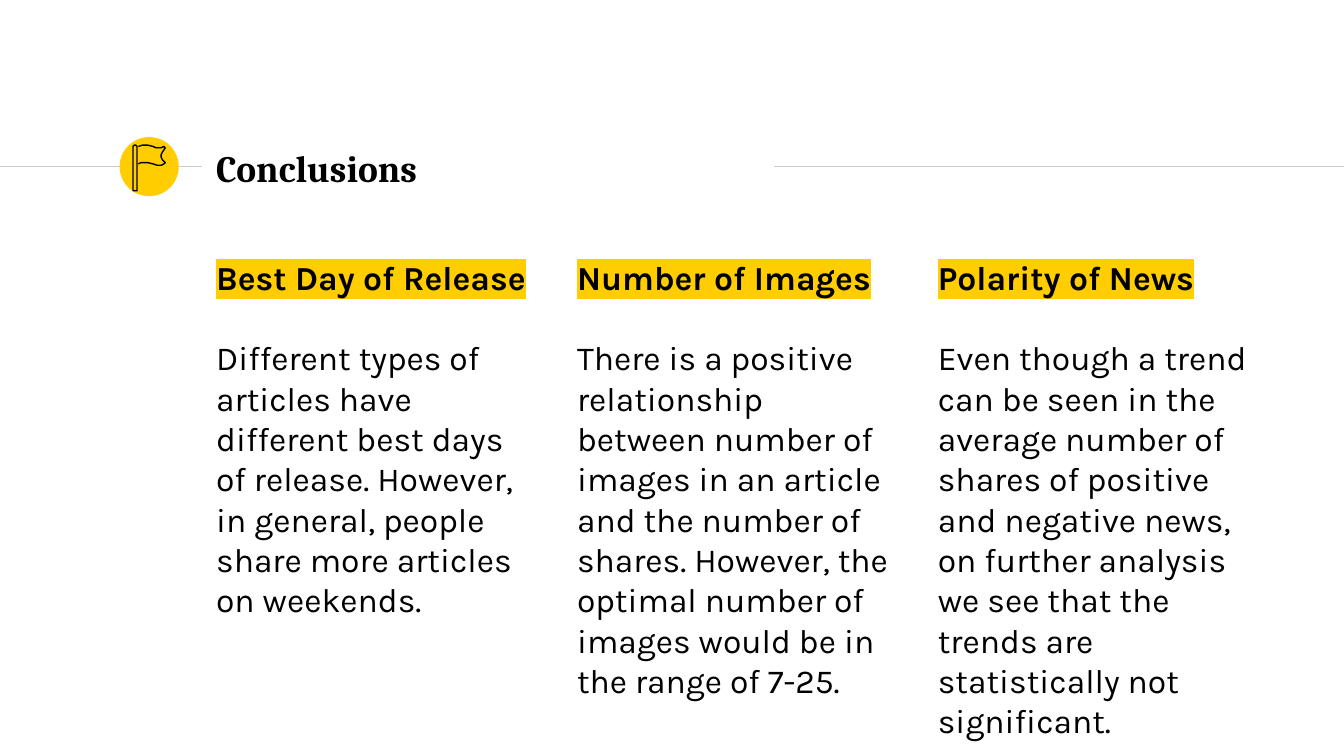
"""Build a conclusions slide with a flag badge and three columns of findings."""
from dataclasses import dataclass

from lxml import etree
from pptx import Presentation
from pptx import util as u
from pptx.dml.color import RGBColor
from pptx.enum import shapes, text
from pptx.oxml import ns


@dataclass(frozen=True)
class Theme:
    ink: RGBColor = RGBColor(0, 0, 0)
    gold: RGBColor = RGBColor(0xFF, 0xCD, 0)
    rule: RGBColor = RGBColor(0xCC, 0xCC, 0xCC)
    serif: str = "Cambria"
    sans: str = "Karla"
    title: u.Pt = u.Pt(20)
    body: u.Pt = u.Pt(18)
    line: u.Pt = u.Pt(0.75)


def add_box(left, top, width, height):
    frame = slide.shapes.add_textbox(
        u.Inches(left), u.Inches(top), u.Inches(width), u.Inches(height)
    ).text_frame
    frame.word_wrap = True
    frame.margin_left = frame.margin_right = u.Inches(0.1)
    frame.margin_top = frame.margin_bottom = u.Inches(0.1)
    return frame


def style(para, face, size, bold):
    font = para.font
    font.name, font.size, font.bold = face, size, bold
    font.color.rgb = theme.ink


theme = Theme()
deck = Presentation()
deck.slide_width, deck.slide_height = u.Inches(10), u.Inches(10 * 9 / 16)
slide = deck.slides.add_slide(deck.slide_layouts[6])

for start, end in [(0, 1.5), (5.76, 10)]:
    rule = slide.shapes.add_connector(
        shapes.MSO_CONNECTOR.STRAIGHT,
        u.Inches(start), u.Inches(1.24), u.Inches(end), u.Inches(1.24),
    )
    rule.line.color.rgb = theme.rule
    rule.line.width = theme.line
    etree.SubElement(rule._element.spPr, ns.qn("a:effectLst"))

badge = slide.shapes.add_shape(
    shapes.MSO_SHAPE.OVAL,
    u.Inches(0.89), u.Inches(1.02), u.Inches(0.44), u.Inches(0.44),
)
badge.shadow.inherit = False
badge.fill.solid()
badge.fill.fore_color.rgb = theme.gold
badge.line.fill.background()

title = add_box(1.51, 1.01, 4.24, 0.48)
title.vertical_anchor = text.MSO_ANCHOR.MIDDLE
title.text = "Conclusions"
style(title.paragraphs[0], theme.serif, theme.title, True)

findings = [
    ("Best Day of Release",
     "Different types of articles have different best days of release. "
     "However, in general, people share more articles on weekends."),
    ("Number of Images",
     "There is a positive relationship between number of images in an article "
     "and the number of shares. However, the optimal number of images would be "
     "in the range of 7-25."),
    ("Polarity of News",
     "Even though a trend can be seen in the average number of shares of "
     "positive and negative news, on further analysis we see that the trends "
     "are statistically not significant."),
]
for index, (heading, detail) in enumerate(findings):
    frame = add_box(1.51 + index * 5.37 / 2, 1.81, 2.55, 3.41)
    head, body = frame.paragraphs[0], frame.add_paragraph()
    for para, words, bold in [(head, heading, True), (body, detail, False)]:
        para.add_run().text = words
        style(para, theme.sans, theme.body, bold)
    head.space_after = u.Pt(21.6)
    props = head.runs[0].font._element
    mark = etree.SubElement(props, ns.qn("a:highlight"))
    etree.SubElement(mark, ns.qn("a:srgbClr"), val=str(theme.gold))

pole = [(102, 142), (102, 109), (101, 108), (100, 108), (99, 109), (99, 142)]
cloth = [
    (103, 122), (105, 121), (110, 121), (114, 122), (117, 123), (120, 123),
    (122, 122), (123, 121), (121, 119), (120, 117), (120, 115), (121, 113),
    (123, 110), (122, 109), (120, 110), (116, 110), (114, 109), (110, 108),
    (106, 108), (103, 109),
]
for points, closed in [(pole, True), (cloth, False)]:
    pen = slide.shapes.build_freeform(*points[0], scale=u.Inches(0.01))
    pen.add_line_segments(points[1:], close=closed)
    part = pen.convert_to_shape()
    part.shadow.inherit = False
    part.fill.background()
    part.line.color.rgb = theme.ink
    part.line.width = theme.line

deck.save("out.pptx")
